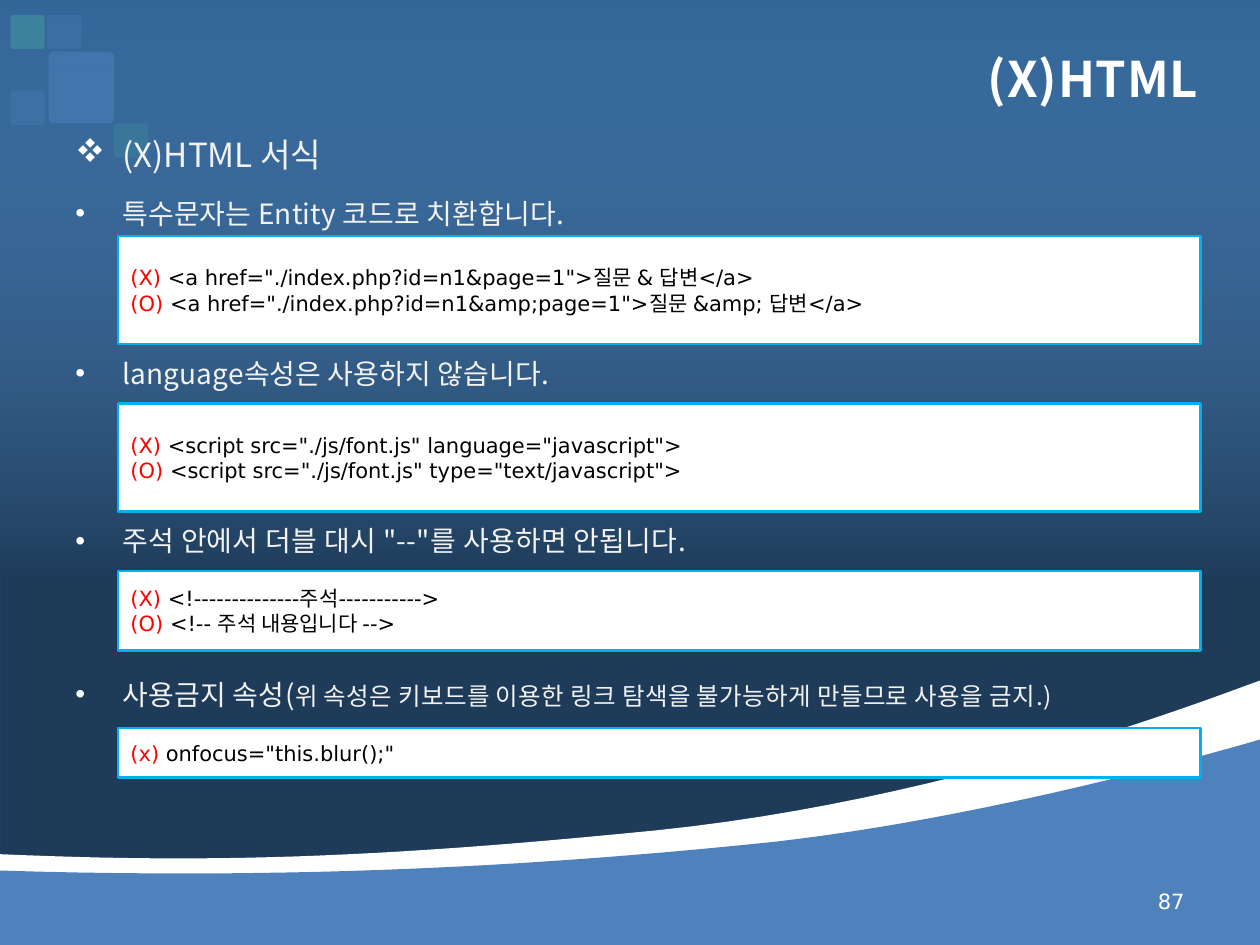
from lxml.etree import SubElement as Sub
from pptx import Presentation
from pptx.dml.color import RGBColor
from pptx.enum.shapes import MSO_SHAPE as Kind
from pptx.enum.text import MSO_ANCHOR as Anchor, PP_ALIGN as Align
from pptx.oxml.ns import qn
from pptx.util import Cm, Pt

WIDE, HIGH = 25.4, 19.05
SANS, MONO = "Noto Sans CJK KR", "DejaVu Sans"
WHITE, PALE, BLUE, TEAL = "FFFFFF", "F2F2F2", "4F81BD", "3F949A"
RED, BLACK, CYAN = "FF0000", "000000", "00B0F0"
GEM, DOT = ("Wingdings", "v"), ("Arial", "•")


def tint(fill, color, alpha=100):
    fill.solid()
    fill.fore_color.rgb = RGBColor.from_string(color)
    if alpha < 100:
        node = fill._xPr.find(qn("a:solidFill"))[0]
        Sub(node, qn("a:alpha"), val=str(alpha * 1000))


def block(slide, box, color, alpha=100, kind=Kind.RECTANGLE):
    shape = slide.shapes.add_shape(kind, *map(Cm, box))
    shape.shadow.inherit = False
    tint(shape.fill, color, alpha)
    shape.line.fill.background()
    return shape


def bullet(para, mark):
    face, char = mark
    props = para._p.get_or_add_pPr()
    props.set("marL", str(Cm(0.95)))
    props.set("indent", str(-Cm(0.95)))
    color = Sub(props, qn("a:buClr"))
    Sub(color, qn("a:srgbClr"), val=WHITE)
    Sub(props, qn("a:buFont"), typeface=face)
    Sub(props, qn("a:buChar"), char=char)


def write(para, text, size=12, color=WHITE, face=SANS, bold=False, space=0):
    """Add one run of text to a paragraph."""
    run = para.add_run()
    run.text = text
    font = run.font
    font.size, font.bold, font.name = Pt(size), bold, face
    tint(font.fill, color)
    props = run._r.get_or_add_rPr()
    Sub(props, qn("a:ea"), typeface=SANS)
    if space:
        props.set("spc", str(int(space * 100)))


def frame(slide, box, anchor=Anchor.MIDDLE):
    text = slide.shapes.add_textbox(*map(Cm, box)).text_frame
    text.word_wrap = True
    text.vertical_anchor = anchor
    return text


def label(slide, box, text, **fmt):
    para = frame(slide, box).paragraphs[0]
    para.alignment = Align.RIGHT
    write(para, text, **fmt)


def shade(slide, box):
    """Darken the backdrop from clear at the top to a dim lower part."""
    fill = block(slide, box, BLACK).fill
    fill.gradient()
    fill.gradient_angle = 270
    looks = [("8DB3E2", 0, 0), (BLACK, 0.61, 40)]
    for stop, (color, place, alpha) in zip(fill.gradient_stops, looks):
        stop.color.rgb = RGBColor.from_string(color)
        stop.position = place
        Sub(stop._gs[0], qn("a:alpha"), val=str(alpha * 1000))


def curve(nodes, steps=24):
    """Give points along joined cubic curves."""
    points = [nodes[0]]
    for at in range(0, len(nodes) - 1, 3):
        for step in range(1, steps + 1):
            t = step / steps
            mix = ((1 - t) ** 3, 3 * t * (1 - t) ** 2, 3 * t * t * (1 - t), t ** 3)
            points.append(tuple(sum(m * n[axis] for m, n in zip(mix, nodes[at:at + 4]))
                                for axis in (0, 1)))
    return points


def waves(slide, box):
    left, top, wide, high = box
    crests = [
        (WHITE, [(0, 3.5), (4.09, 3.68), (7.44, 3.6), (13.23, 3.02),
                 (19.02, 2.43), (24.08, 0.48), (wide, 0)]),
        (BLUE, [(0, 3.83), (6.25, 4.03), (11.3, 3.7), (15.62, 3.25),
                (19.91, 2.76), (24.36, 1.49), (wide, 1.19)]),
    ]
    for color, nodes in crests:
        points = [(Cm(left + x), Cm(top + y))
                  for x, y in curve(nodes) + [(wide, high), (0, high)]]
        path = slide.shapes.build_freeform(*points[0], scale=1.0)
        path.add_line_segments(points[1:], close=True)
        shape = path.convert_to_shape()
        shape.shadow.inherit = False
        tint(shape.fill, color)
        shape.line.fill.background()


def tiles(slide, box):
    left, top = box[:2]
    small = (0.69, 0.69)
    for x, y, (wide, high), color, alpha in [
        (0.74, 0, small, BLUE, 30),
        (0, 1.53, small, BLUE, 30),
        (0, 0, small, TEAL, 60),
        (2.09, 2.19, small, TEAL, 30),
        (0.77, 0.74, (1.32, 1.45), BLUE, 50),
    ]:
        tile = block(slide, (left + x, top + y, wide, high), color, alpha,
                     Kind.ROUNDED_RECTANGLE)
        tile.adjustments[0] = 0.09


def points(slide, box):
    text = frame(slide, box, Anchor.TOP)
    text.margin_top = Cm(0.53)
    lines = [
        (0, GEM, 0, [("(X)HTML 서식", 19)]),
        (12.6, DOT, 0.1, [("특수문자는 Entity 코드로 치환합니다.", 16)]),
        (72.4, DOT, 0.1, [("language속성은 사용하지 않습니다.", 16)]),
        (76.4, DOT, 0.2, [("주석 안에서 더블 대시 \"--\"를 사용하면 안됩니다.", 16)]),
        (68.4, DOT, 0.2, [
            ("사용금지 속성(", 16),
            ("위 속성은 키보드를 이용한 링크 탐색을 불가능하게 만들므로 사용을 금지.)", 14)]),
    ]
    for row, (gap, mark, space, runs) in enumerate(lines):
        para = text.add_paragraph() if row else text.paragraphs[0]
        if gap:
            para.space_before = Pt(gap)
        bullet(para, mark)
        for words, size in runs:
            write(para, words, size=size, color=PALE, space=space)


def sample(slide, box, rows):
    """Draw a framed box of code rows, each led by a red verdict."""
    shape = block(slide, box, WHITE)
    tint(shape.line.fill, CYAN)
    shape.line.width = Pt(1.5)
    text = shape.text_frame
    text.word_wrap = True
    text.vertical_anchor = Anchor.MIDDLE
    for row, (mark, code) in enumerate(rows):
        para = text.add_paragraph() if row else text.paragraphs[0]
        para.alignment = Align.LEFT
        write(para, mark + " ", color=RED, face=MONO)
        write(para, code, color=BLACK, face=MONO)


def samples(slide, box):
    left, top, wide = box[:3]
    for y, high, rows in [
        (0, 2.18, [("(X)", '<a href="./index.php?id=n1&page=1">질문 & 답변</a>'),
                   ("(O)", '<a href="./index.php?id=n1&amp;page=1">질문 &amp; 답변</a>')]),
        (3.37, 2.18, [("(X)", '<script src="./js/font.js" language="javascript">'),
                      ("(O)", '<script src="./js/font.js" type="text/javascript">')]),
        (6.75, 1.6, [("(X)", "<!--------------주석----------->"),
                     ("(O)", "<!-- 주석 내용입니다 -->")]),
        (9.92, 0.99, [("(x)", 'onfocus="this.blur();"')]),
    ]:
        sample(slide, (left, top + y, wide, high), rows)


def main():
    deck = Presentation()
    deck.slide_width, deck.slide_height = Cm(WIDE), Cm(HIGH)
    slide = deck.slides.add_slide(deck.slide_layouts[6])
    tint(slide.background.fill, "336699")
    shade(slide, (0, 0, WIDE, HIGH))
    waves(slide, (0, 13.72, WIDE, 5.33))
    tiles(slide, (0.21, 0.3, 2.78, 2.88))
    label(slide, (1.27, 0.76, 23.14, 1.63), "(X)HTML", size=28, bold=True, space=0.5)
    points(slide, (1.27, 2.18, 23.14, 15.67))
    samples(slide, (2.38, 4.76, 21.82, 10.91))
    label(slide, (18.21, 17.65, 5.92, 1.02), "87", face=MONO)
    deck.save("out.pptx")


if __name__ == "__main__":
    main()
